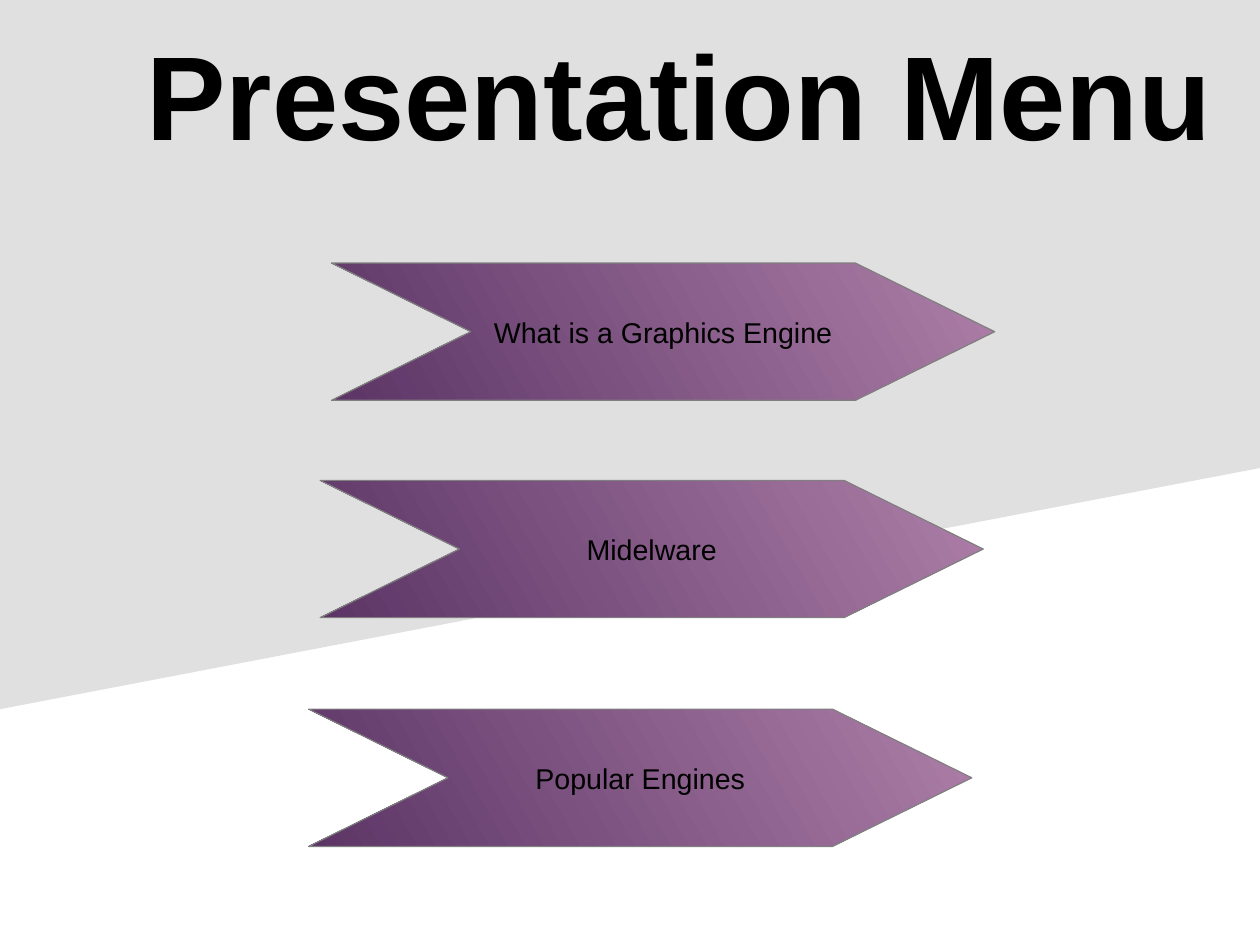
import pptx
import pptx.util
import pptx.dml.color
import pptx.enum.text
from dataclasses import dataclass

Pt = pptx.util.Pt


@dataclass(frozen=True)
class Theme:
    font: str = "Arial"
    title_size: float = 75
    label_size: float = 18
    text: str = "000000"
    backdrop: str = "E0E0E0"
    light: str = "AD7FA8"
    dark: str = "5C3566"
    outline: str = "808080"


THEME = Theme()
SLIDE_W, SLIDE_H = 793.44, 595.44
MENU = ["What is a Graphics Engine", "Midelware", "Popular Engines"]


def rgb(code):
    return pptx.dml.color.RGBColor.from_string(code)


def add_outline(s, points):
    """Draw a closed shape through points given in points."""
    start, *rest = [(Pt(x), Pt(y)) for x, y in points]
    builder = s.shapes.build_freeform(*start)
    builder.add_line_segments(rest, close=True)
    sp = builder.convert_to_shape()
    sp.shadow.inherit = False
    return sp


def write(tf, text, size, bold=False):
    """Put one centred line of text in a frame."""
    tf.vertical_anchor = pptx.enum.text.MSO_ANCHOR.MIDDLE
    p = tf.paragraphs[0]
    p.alignment = pptx.enum.text.PP_ALIGN.CENTER
    r = p.add_run()
    r.text = text
    r.font.name = THEME.font
    r.font.size = Pt(size)
    r.font.bold = bold
    r.font.color.rgb = rgb(THEME.text)


def add_backdrop(s, x, y, w, h):
    """Grey field with a slanted lower edge, behind the title."""
    right_h = h * 0.66
    sp = add_outline(s, [(x, y), (x + w, y), (x + w, y + right_h), (x, y + h)])
    sp.fill.solid()
    sp.fill.fore_color.rgb = rgb(THEME.backdrop)
    sp.line.fill.background()
    s.shapes.title._element.addprevious(sp._element)


def add_title(s, text, x, y, w, h):
    sp = s.shapes.title
    sp.left, sp.top, sp.width, sp.height = Pt(x), Pt(y), Pt(w), Pt(h)
    tf = sp.text_frame
    tf.margin_left = tf.margin_right = tf.margin_top = tf.margin_bottom = 0
    tf.auto_size = pptx.enum.text.MSO_AUTO_SIZE.NONE
    write(tf, text, THEME.title_size, bold=True)


def add_menu_arrow(s, text, x, y, w, h):
    """Notched arrow whose tip and notch have the same depth."""
    tip, right, middle, bottom = w * 0.21, x + w, y + h / 2, y + h
    sp = add_outline(s, [
        (x, y), (right - tip, y), (right, middle),
        (right - tip, bottom), (x, bottom), (x + tip, middle),
    ])
    sp.fill.gradient()
    sp.fill.gradient_angle = 210
    for stop, color in zip(sp.fill.gradient_stops, (THEME.light, THEME.dark)):
        stop.color.rgb = rgb(color)
    sp.line.color.rgb = rgb(THEME.outline)
    sp.line.width = Pt(0)
    sp.text_frame.word_wrap = False
    write(sp.text_frame, text, THEME.label_size)


def add_menu(s, x, y, w, h):
    """Arrows down the box, each stepping a little to the left."""
    arrow_w, arrow_h, step = 417.6, 86.4, 7.2
    tops = (0, 136.8, h - arrow_h)
    for i, (text, top) in enumerate(zip(MENU, tops)):
        left = x + w - arrow_w - i * step
        add_menu_arrow(s, text, left, y + top, arrow_w, arrow_h)


def main():
    prs = pptx.Presentation()
    prs.slide_width, prs.slide_height = Pt(SLIDE_W), Pt(SLIDE_H)
    s = prs.slides.add_slide(prs.slide_layouts.get_by_name("Title Only"))
    add_backdrop(s, 0, 0, SLIDE_W, 446.4)
    add_title(s, "Presentation Menu", 70.56, 8.64, 714.24, 99.36)
    add_menu(s, 194.4, 165.6, 432, 367.2)
    prs.save("out.pptx")


if __name__ == "__main__":
    main()
